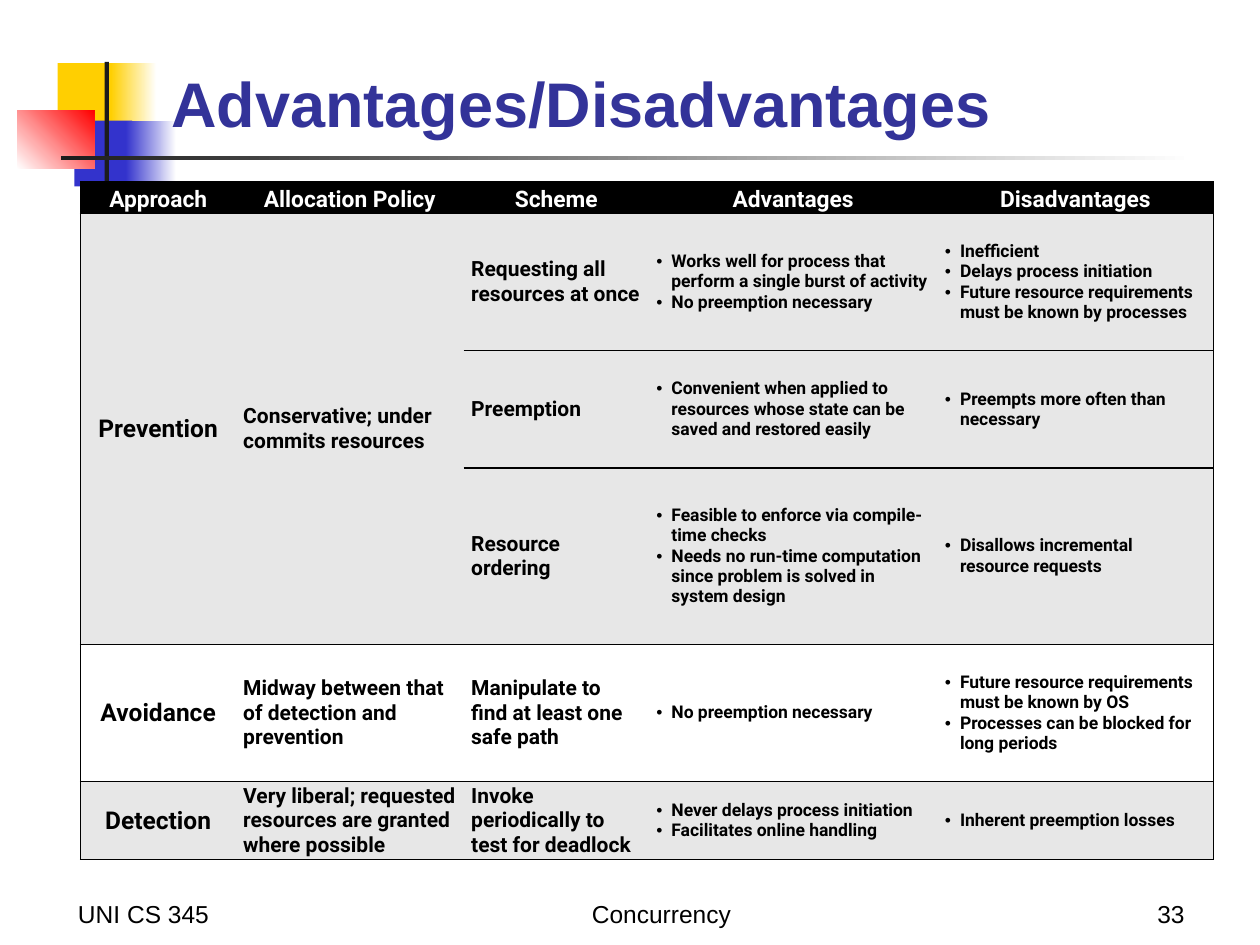
from dataclasses import dataclass

from lxml.etree import SubElement
from pptx import Presentation
from pptx.dml.color import RGBColor as RGB
from pptx.enum.shapes import MSO_SHAPE as Shape
from pptx.enum.text import MSO_ANCHOR as Anchor, MSO_AUTO_SIZE as AutoSize, PP_ALIGN as Align
from pptx.oxml.ns import qn
from pptx.util import Pt


@dataclass(frozen=True)
class Theme:
    sans: str = "Arial"
    table_font: str = "Roboto"
    title: str = "333399"
    yellow: str = "FFCF01"
    blue: str = "3333CC"
    red: str = "FF0000"
    dark: str = "1C1C1C"
    black: str = "000000"
    white: str = "FFFFFF"
    gray: str = "E7E7E7"
    title_size: float = 36
    footer_size: float = 14
    header_size: float = 13
    approach_size: float = 14
    body_size: float = 12
    bullet_size: float = 10


theme = Theme()

# Content
TITLE = "Advantages/Disadvantages"
HEADERS = ["Approach", "Allocation Policy", "Scheme", "Advantages", "Disadvantages"]
# approach, policy, row fill, then (scheme, advantages, disadvantages) for each row
APPROACHES = [
    ("Prevention", "Conservative; under commits resources", theme.gray, [
        ("Requesting all resources at once",
         ["Works well for process that perform a single burst of activity",
          "No preemption necessary"],
         ["Inefficient", "Delays process initiation",
          "Future resource requirements must be known by processes"]),
        ("Preemption",
         ["Convenient when applied to resources whose state can be saved and restored easily"],
         ["Preempts more often than necessary"]),
        ("Resource ordering",
         ["Feasible to enforce via compile-time checks",
          "Needs no run-time computation since problem is solved in system design"],
         ["Disallows incremental resource requests"]),
    ]),
    ("Avoidance", "Midway between that of detection and prevention", theme.white, [
        ("Manipulate to find at least one safe path",
         ["No preemption necessary"],
         ["Future resource requirements must be known by OS",
          "Processes can be blocked for long periods"]),
    ]),
    ("Detection", "Very liberal; requested resources are granted where possible", theme.gray, [
        ("Invoke periodically to test for deadlock",
         ["Never delays process initiation", "Facilitates online handling"],
         ["Inherent preemption losses"]),
    ]),
]
# text, left, width, alignment
FOOTERS = [
    ("UNI CS 345", 37.5, 150, Align.LEFT),
    ("Concurrency", 264, 228, Align.CENTER),
    ("33", 534, 150, Align.RIGHT),
]
# left, top, width, height, colours (two make a gradient), gradient angle
ORNAMENTS = [
    (33, 36, 34.5, 37.5, [theme.yellow], 0),
    (63.4, 36, 26, 37.5, [theme.yellow, theme.white], 0),
    (42.5, 69, 33, 37.5, [theme.blue], 0),
    (72, 69, 28.8, 37.5, [theme.blue, theme.white], 0),
    (10, 63, 44, 33.5, [theme.white, theme.red], 45),
    (59.8, 35.3, 2.4, 82.8, [theme.dark], 0),
    (34.6, 89.3, 648, 2.2, [theme.dark, theme.white], 0),
]
COLUMNS = [88.6, 130.3, 105.8, 164.9, 157.7]
ROWS = [18, 78.5, 67, 100.8, 78.5, 44.6]
TABLE_LEFT, TABLE_TOP = 46.1, 103.9
INSET, INDENT = 4.32, 8.64


def add_span(para, text, size, color, font, bold=False):
    span = para.add_run()
    span.text = text
    span.font.size, span.font.name, span.font.bold = Pt(size), font, bold
    span.font.color.rgb = RGB.from_string(color)


def place(box, left, top, width, height):
    box.left, box.top, box.width, box.height = map(Pt, (left, top, width, height))


def add_bullet(para):
    props = para._p.get_or_add_pPr()
    props.set("marL", str(Pt(INDENT)))
    props.set("indent", str(-Pt(INDENT)))
    SubElement(props, qn("a:buFont"), typeface=theme.sans)
    SubElement(props, qn("a:buChar"), char="•")


def set_borders(cell, ruled):
    props = cell._tc.get_or_add_tcPr()
    for side in "LRTB":
        line = SubElement(props, qn(f"a:ln{side}"), w=str(Pt(1)))
        if side in ruled:
            fill = SubElement(line, qn("a:solidFill"))
            SubElement(fill, qn("a:srgbClr"), val=theme.black)
        else:
            SubElement(line, qn("a:noFill"))


def fill_cell(cell, column, texts, size, fill, color=theme.black, align=Align.LEFT,
              bullets=False, anchor=Anchor.MIDDLE, spacing=None):
    edges = {0: "L", len(COLUMNS) - 1: "R"}
    set_borders(cell, "TB" + edges.get(column, ""))
    cell.fill.solid()
    cell.fill.fore_color.rgb = RGB.from_string(fill)
    cell.margin_left = cell.margin_right = Pt(INSET)
    cell.margin_top = cell.margin_bottom = 0
    cell.vertical_anchor = anchor
    for index, text in enumerate(texts):
        frame = cell.text_frame
        para = frame.add_paragraph() if index else frame.paragraphs[0]
        para.alignment, para.line_spacing = align, spacing
        if bullets:
            add_bullet(para)
        add_span(para, text, size, color, theme.table_font, True)


deck = Presentation()
deck.slide_width, deck.slide_height = Pt(720), Pt(540)
page = deck.slides.add_slide(deck.slide_layouts[5])

# Corner ornament and rule
for *frame, colors, angle in ORNAMENTS:
    block = page.shapes.add_shape(Shape.RECTANGLE, *map(Pt, frame))
    block.shadow.inherit = False
    block.line.fill.background()
    if len(colors) == 1:
        block.fill.solid()
        block.fill.fore_color.rgb = RGB.from_string(colors[0])
    else:
        block.fill.gradient()
        block.fill.gradient_angle = angle
        for stop, color in zip(block.fill.gradient_stops, colors):
            stop.color.rgb = RGB.from_string(color)

# Title, in front of the ornament
title = page.shapes.title
place(title, 90.7, 15, 613.5, 68.5)
block.element.addnext(title.element)
title.text_frame.auto_size = AutoSize.NONE
title.text_frame.vertical_anchor = Anchor.BOTTOM
para = title.text_frame.paragraphs[0]
para.alignment = Align.LEFT
add_span(para, TITLE, theme.title_size, theme.title, theme.sans, True)

# Footer
for text, left, width, align in FOOTERS:
    box = page.shapes.add_textbox(Pt(left), Pt(498), Pt(width), Pt(36))
    box.text_frame.word_wrap = True
    box.text_frame.vertical_anchor = Anchor.BOTTOM
    para = box.text_frame.paragraphs[0]
    para.alignment = align
    add_span(para, text, theme.footer_size, theme.black, theme.sans)

# Table grid and header
table = page.shapes.add_table(len(ROWS), len(COLUMNS), Pt(TABLE_LEFT), Pt(TABLE_TOP),
                              Pt(sum(COLUMNS)), Pt(sum(ROWS))).table
table.first_row = table.horz_banding = False
for column, width in zip(table.columns, COLUMNS):
    column.width = Pt(width)
for row, height in zip(table.rows, ROWS):
    row.height = Pt(height)
for column, header in enumerate(HEADERS):
    fill_cell(table.cell(0, column), column, [header], theme.header_size, theme.black,
              theme.white, Align.CENTER, anchor=Anchor.BOTTOM, spacing=1.15)

# Table body: approach and policy span all schemes of the approach
row = 1
for approach, policy, fill, schemes in APPROACHES:
    if len(schemes) > 1:
        for column in (0, 1):
            table.cell(row, column).merge(table.cell(row + len(schemes) - 1, column))
    fill_cell(table.cell(row, 0), 0, [approach], theme.approach_size, fill, align=Align.CENTER)
    fill_cell(table.cell(row, 1), 1, [policy], theme.body_size, fill)
    for scheme, *point_lists in schemes:
        fill_cell(table.cell(row, 2), 2, [scheme], theme.body_size, fill)
        for column, points in enumerate(point_lists, 3):
            fill_cell(table.cell(row, column), column, points, theme.bullet_size, fill,
                      bullets=True)
        row += 1

deck.save("out.pptx")
